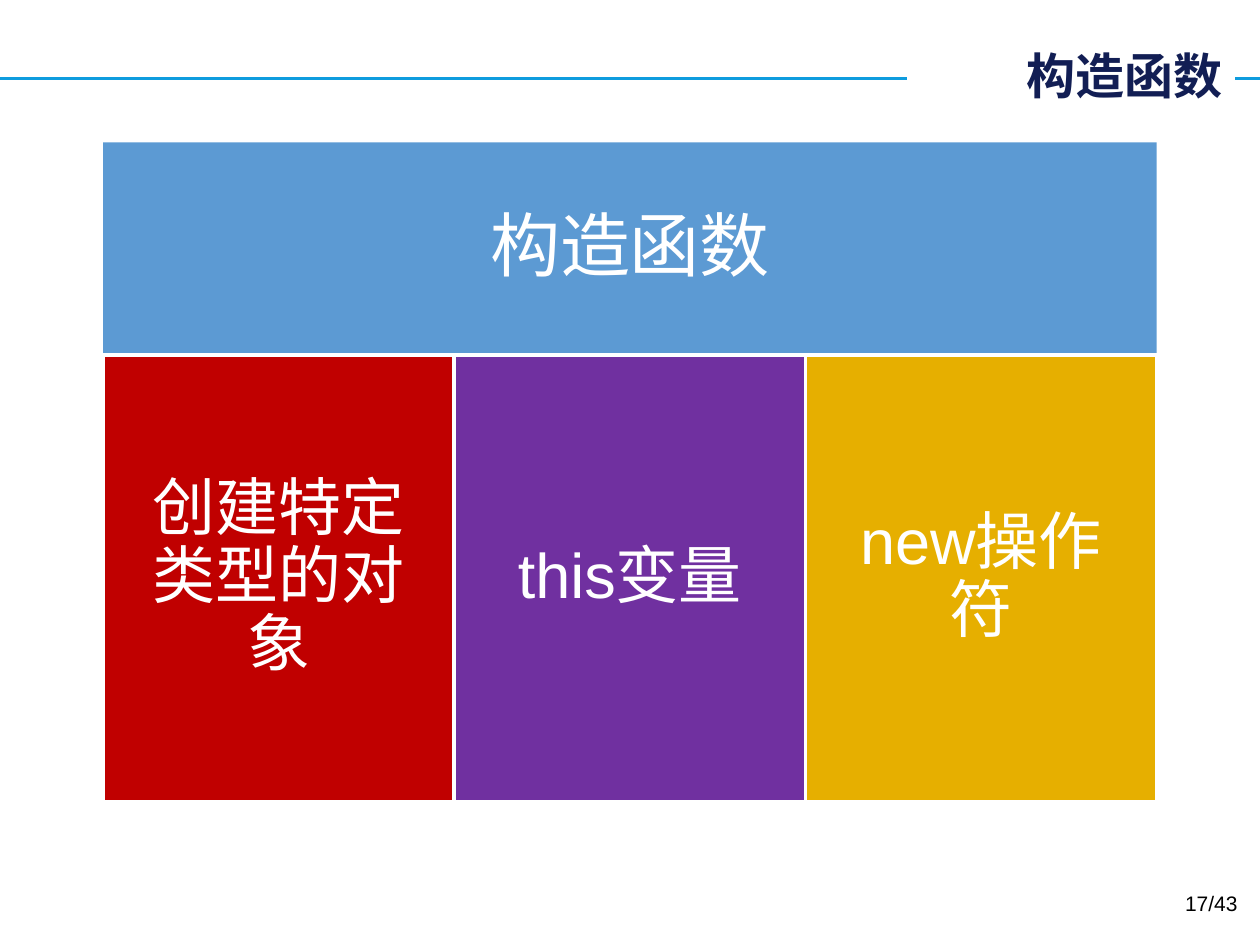
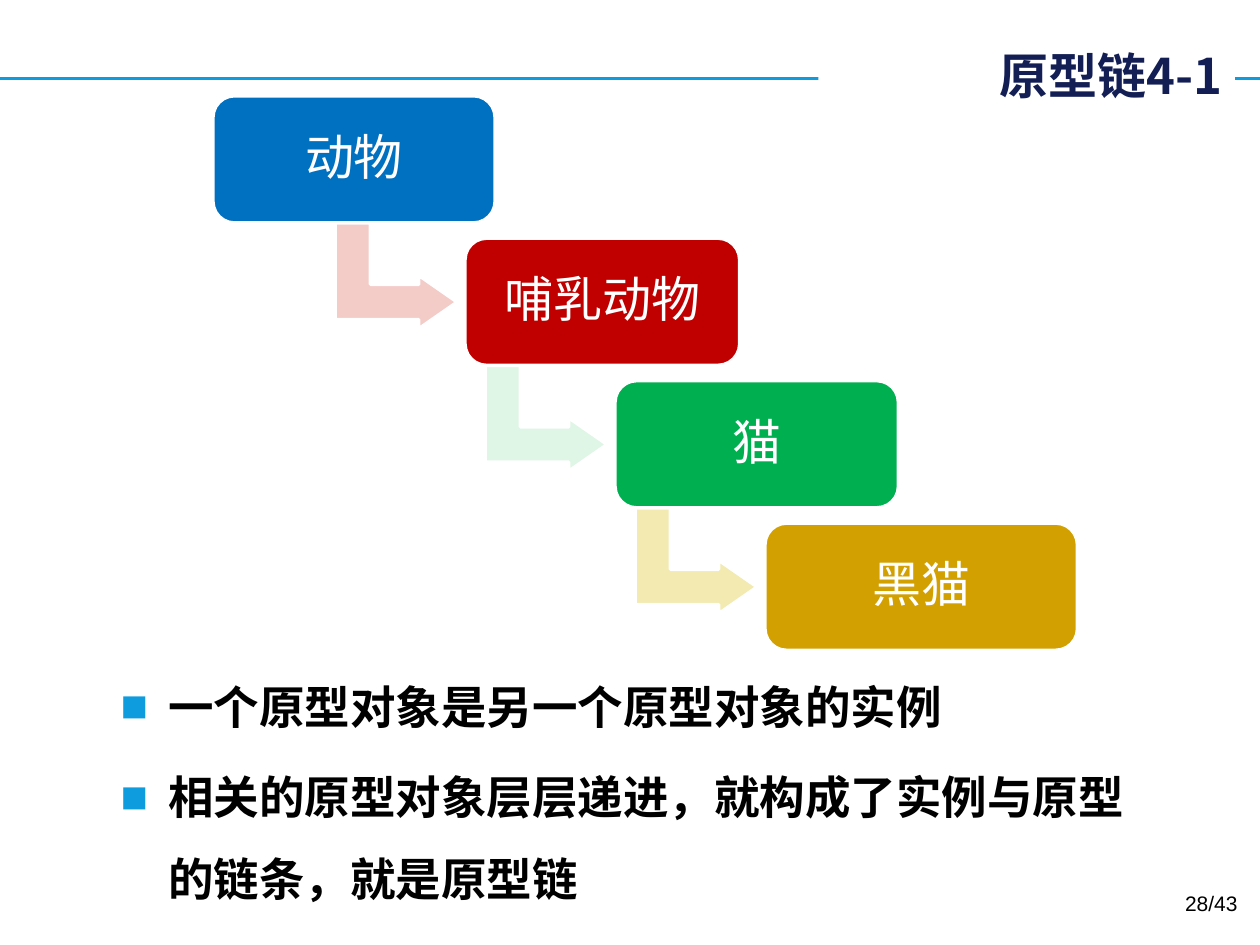
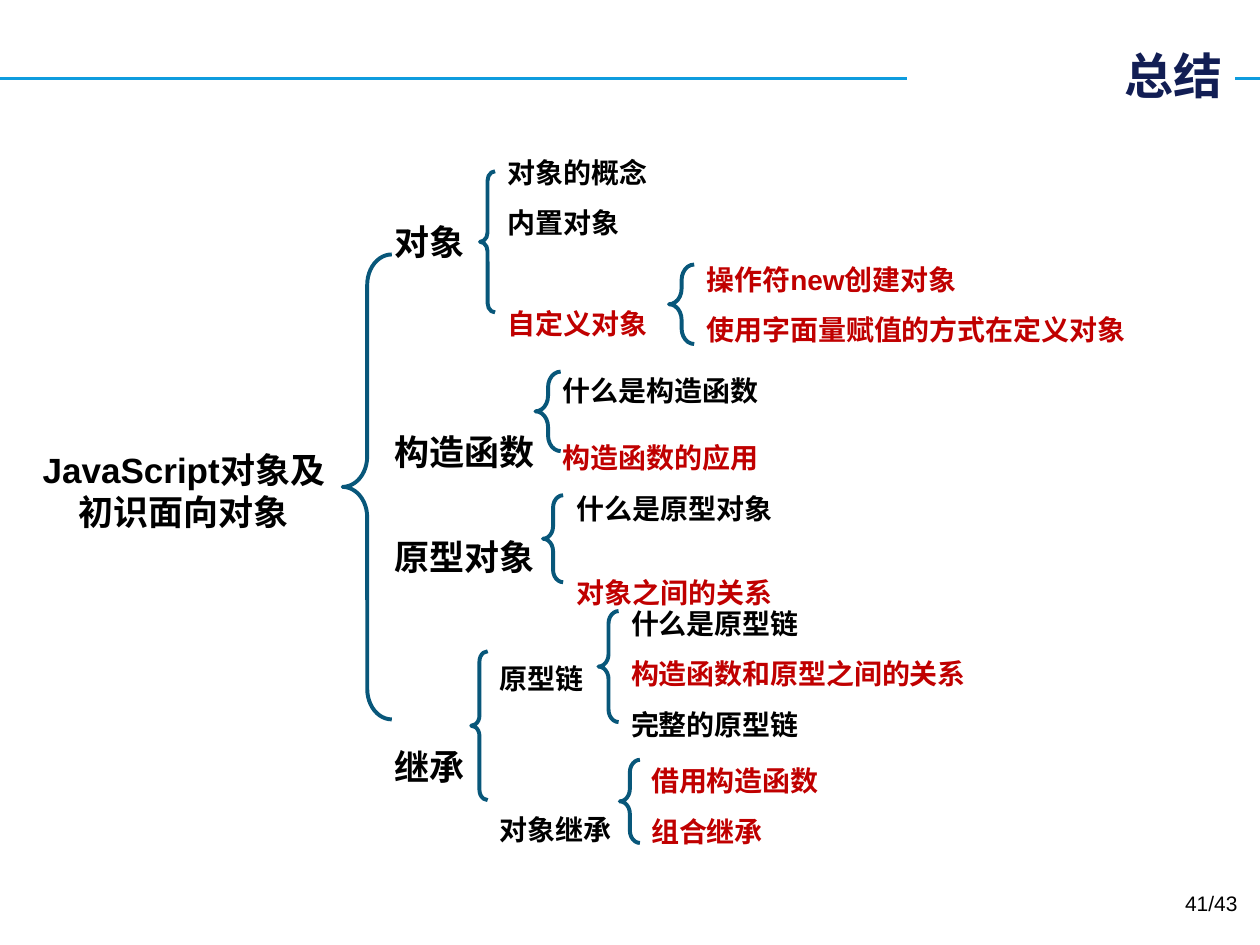
"""Build three slides on constructors, the prototype chain and a summary tree."""
from lxml.etree import SubElement
from pptx import Presentation
from pptx.dml.color import RGBColor
from pptx.enum.shapes import MSO_CONNECTOR, MSO_SHAPE
from pptx.enum.text import MSO_ANCHOR, MSO_AUTO_SIZE, PP_ALIGN
from pptx.oxml.ns import qn
from pptx.util import Pt

HUES = {
    "white": "FFFFFF", "black": "000000", "navy": "121E54", "rule": "0E9CDE",
    "brace": "08577A", "sky": "5C9AD3", "red": "C00000", "plum": "7030A0",
    "gold": "E6AF00", "blue": "0070C0", "green": "00B050", "ochre": "D2A000",
    "pink": "F3CBC7", "mint": "DFF5E6", "cream": "F2EAB0",
}
HAN = "Noto Sans CJK SC"
BODY = "Arial"
TOTAL = 43


def hue(name):
    return RGBColor.from_string(HUES[name])


def add_run(para, text, size, color="black", bold=False, font=BODY):
    run = para.add_run()
    run.text = text
    run.font.name = font
    run.font.size = Pt(size)
    run.font.bold = bold
    run.font.color.rgb = hue(color)
    SubElement(run.font._element, qn("a:ea"), typeface=HAN)


def next_para(frame, first):
    return frame.paragraphs[0] if first else frame.add_paragraph()


def add_box(slide, box):
    frame = slide.shapes.add_textbox(*map(Pt, box)).text_frame
    frame.word_wrap = True
    return frame


def add_list(slide, box, size, items, align=None):
    frame = add_box(slide, box)
    for i, (text, color, space) in enumerate(items):
        para = next_para(frame, i == 0)
        para.alignment = align
        para.line_spacing = space
        add_run(para, text, size, color, True)


def add_bullets(slide, box, lines):
    frame = add_box(slide, box)
    for i, text in enumerate(lines):
        para = next_para(frame, i == 0)
        para.line_spacing = 1.5
        para.space_before = Pt(5.2)
        props = para._p.get_or_add_pPr()
        props.set("marL", str(Pt(27)))
        props.set("indent", str(Pt(-27)))
        tint = SubElement(props, qn("a:buClr"))
        SubElement(tint, qn("a:srgbClr"), val=HUES["rule"])
        SubElement(props, qn("a:buFont"), typeface=BODY)
        SubElement(props, qn("a:buChar"), char="■")
        add_run(para, text, 26, bold=True)


def add_shape(slide, kind, box, fill=None, line=None, width=2, adjust=()):
    shape = slide.shapes.add_shape(kind, *map(Pt, box))
    shape.shadow.inherit = False
    for i, value in enumerate(adjust):
        shape.adjustments[i] = value
    if fill:
        shape.fill.solid()
        shape.fill.fore_color.rgb = hue(fill)
    else:
        shape.fill.background()
    if line:
        shape.line.color.rgb = hue(line)
        shape.line.width = Pt(width)
    else:
        shape.line.fill.background()
    return shape


def add_label(shape, text, size, inset):
    frame = shape.text_frame
    frame.word_wrap = True
    frame.vertical_anchor = MSO_ANCHOR.MIDDLE
    frame.margin_left = frame.margin_right = Pt(inset)
    frame.margin_top = frame.margin_bottom = Pt(inset)
    para = frame.paragraphs[0]
    para.alignment = PP_ALIGN.CENTER
    para.line_spacing = 0.9
    add_run(para, text, size, "white")


def add_brace(slide, box):
    add_shape(slide, MSO_SHAPE.LEFT_BRACE, box, None, "brace", 2.25, (0.62, 0.5))


def add_rule(deck, layout):
    """Draw the title rule on a new slide's layout so every slide shares it."""
    slide = deck.slides[0]
    rule = slide.shapes.add_connector(
        MSO_CONNECTOR.STRAIGHT, 0, Pt(44.9), deck.slide_width, Pt(44.9))
    rule.line.color.rgb = hue("rule")
    rule.line.width = Pt(2.25)
    SubElement(rule.element.spPr, qn("a:effectLst"))
    layout.shapes.element.append(rule.element)


def new_slide(deck, layout, title, page, width=187.2):
    slide = deck.slides.add_slide(layout)
    head = slide.shapes.title
    head.left, head.top = Pt(705.6 - width), Pt(22.3)
    head.width, head.height = Pt(width), Pt(41)
    head.fill.solid()
    head.fill.fore_color.rgb = hue("white")
    frame = head.text_frame
    frame.word_wrap = True
    frame.auto_size = MSO_AUTO_SIZE.SHAPE_TO_FIT_TEXT
    frame.vertical_anchor = MSO_ANCHOR.MIDDLE
    para = frame.paragraphs[0]
    para.alignment = PP_ALIGN.RIGHT
    add_run(para, title, 28, "navy", True, HAN)
    para = add_box(slide, (546.5, 505.4, 167.8, 28.8)).paragraphs[0]
    para.alignment = PP_ALIGN.RIGHT
    add_run(para, f"{page}/{TOTAL}", 12)
    return slide


def draw_parts(slide):
    banner = add_shape(slide, MSO_SHAPE.RECTANGLE, (59, 81.4, 602, 121.7), "sky")
    add_label(banner, "构造函数", 40, 19.4)
    parts = [("创建特定类型的对象", "red"), ("this变量", "plum"),
             ("new操作符", "gold")]
    for i, (text, fill) in enumerate(parts):
        box = (59 + 200.6 * i, 203, 200.6, 255)
        part = add_shape(slide, MSO_SHAPE.RECTANGLE, box, fill, "white")
        add_label(part, text, 36, 16.6)


def draw_chain(slide):
    add_bullets(slide, (61.9, 368.6, 602, 178.6), [
        "一个原型对象是另一个原型对象的实例",
        "相关的原型对象层层递进，就构成了实例与原型的链条，就是原型链"])
    across, down = 85.7, 81.4
    for i, fill in enumerate(["pink", "mint", "cream"]):
        box = (195.8 + across * i, 122.4 + down * i, 61.2, 69.8)
        arrow = add_shape(slide, MSO_SHAPE.BENT_UP_ARROW, box, fill, "white",
                          adjust=(0.33, 0.25, 0.36))
        arrow.rotation = 90
    cards = [("动物", "blue", 121.7, 161.3), ("哺乳动物", "red", 265.7, 157),
             ("猫", "green", 265.7 + across, 162),
             ("黑猫", "ochre", 265.7 + 2 * across, 178.6)]
    for i, (text, fill, left, width) in enumerate(cards):
        box = (left, 54.7 + down * i, width, 72.7)
        card = add_shape(slide, MSO_SHAPE.ROUNDED_RECTANGLE, box, fill, "white",
                         adjust=(0.17,))
        add_label(card, text, 28, 12.6)


def draw_tree(slide):
    add_list(slide, (8.6, 252.7, 193, 55.4), 20,
             [("JavaScript对象及初识面向对象", "black", 1)], PP_ALIGN.CENTER)
    add_list(slide, (218.2, 122.4, 135.4, 334), 20, [
        ("对象", "black", 1), ("构造函数", "black", 5),
        ("原型对象", "black", 2.5), ("继承", "black", 5)])
    leaves = [
        ((283, 75.6, 121.7, 123.8), [
            ("对象的概念", "black", 1.5), ("内置对象", "black", 1.5),
            ("自定义对象", "red", 3)]),
        ((396.7, 136.8, 257.8, 65.5), [
            ("操作符new创建对象", "red", 1.5),
            ("使用字面量赋值的方式在定义对象", "red", 1.5)]),
        ((314.6, 190.8, 296.6, 85), [
            ("什么是构造函数", "black", 2), ("构造函数的应用", "red", 2)]),
        ((322.6, 267.8, 184.3, 85), [
            ("什么是原型对象", "black", 1.5), ("对象之间的关系", "red", 2.5)]),
        ((278.6, 355, 110.9, 133.2), [
            ("原型链", "black", 2), ("对象继承", "black", 4.5)]),
        ((353.5, 333.4, 239, 94.3), [
            ("什么是原型链", "black", 1.5),
            ("构造函数和原型之间的关系", "red", 1.5),
            ("完整的原型链", "black", 1.5)]),
        ((365, 423.4, 239, 65.5), [
            ("借用构造函数", "red", 1.5), ("组合继承", "red", 1.5)]),
    ]
    for box, items in leaves:
        add_list(slide, box, 16, items)
    braces = [
        (195.8, 145.4, 28.1, 265.7), (274.3, 97.9, 8.6, 80.6),
        (382.3, 151.2, 14.4, 45.4), (306, 212.4, 14.4, 45.4),
        (310.3, 283, 11.5, 49.7), (269.3, 372.2, 9.4, 85),
        (342, 349.2, 11.5, 63.4), (354.2, 434.2, 11.5, 47.5),
    ]
    for box in braces:
        add_brace(slide, box)


def main():
    deck = Presentation()
    deck.slide_width, deck.slide_height = Pt(720), Pt(540)
    layout = deck.slide_layouts[5]
    draw_parts(new_slide(deck, layout, "构造函数", 17))
    draw_chain(new_slide(deck, layout, "原型链4-1", 28, 238))
    draw_tree(new_slide(deck, layout, "总结", 41))
    add_rule(deck, layout)
    deck.save("out.pptx")


main()
